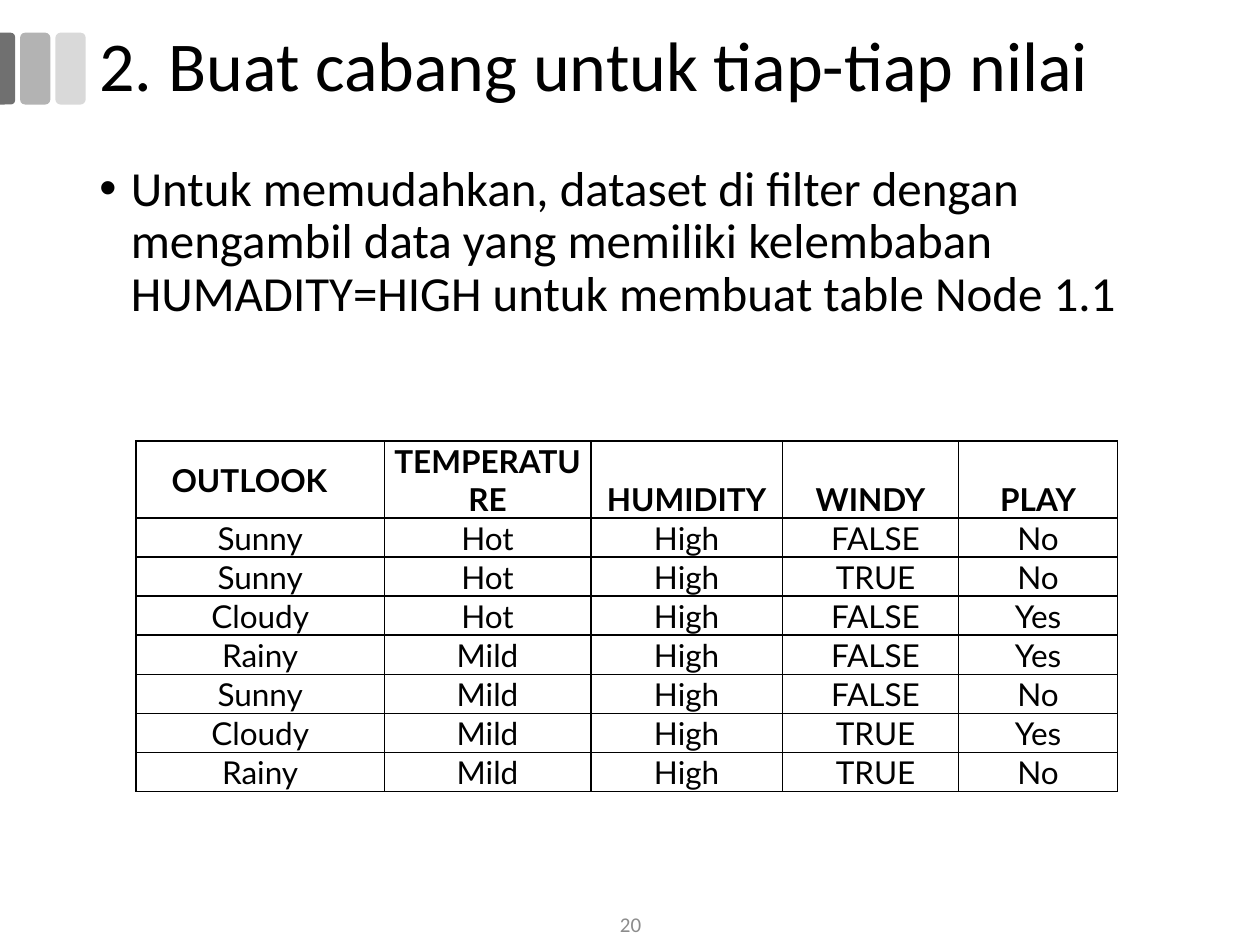
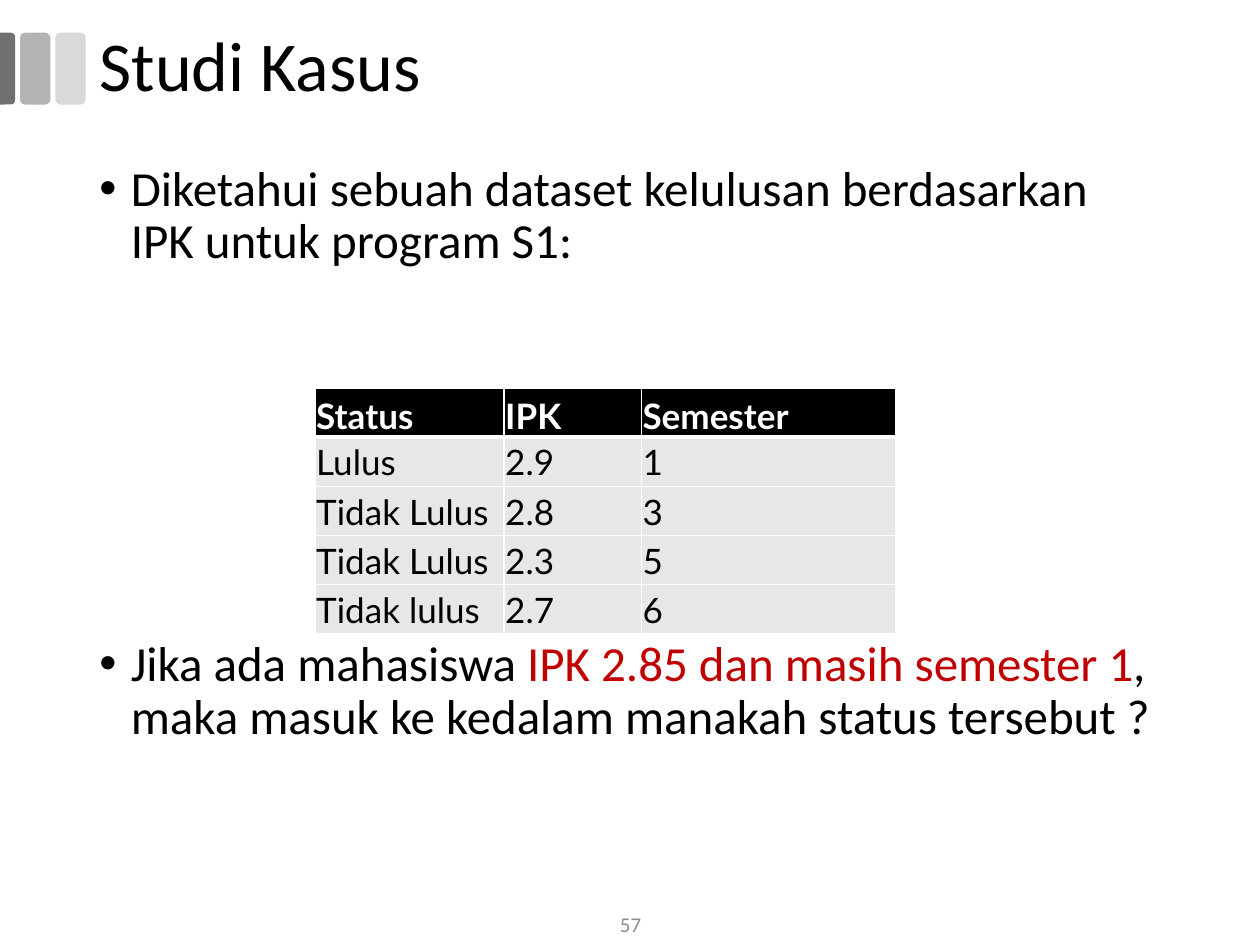
from dataclasses import dataclass

from lxml import etree
from pptx import Presentation
from pptx.dml.color import RGBColor
from pptx.enum import shapes, text
from pptx.oxml.ns import qn
from pptx.util import Inches, Pt


@dataclass(frozen=True)
class Theme:
    font: str = "Calibri"
    table_font: str = "Lato"
    title_size: int = 40
    body_size: int = 28
    number_size: int = 12
    black: str = "000000"
    white: str = "FFFFFF"
    cell_grey: str = "E7E7E7"
    number_grey: str = "8C8C8C"
    accent: str = "C00000"
    marks: tuple = ("707070", "B3B3B3", "D9D9D9")


THEME = Theme()
TITLE_ONLY = 5
TITLE_BOX = (0.69, 0.17, 9.3, 0.75)
BODY_BOX = (0.69, 1.25, 8.62, 5.83)
NUMBER_BOX = (3.88, 7.17, 2.25, 0.33)
MARKS_BOX = (-0.12, 0.26, 0.24, 0.57)
MARK_STEP = 0.28


@dataclass(frozen=True)
class TableLook:
    size: int
    row_height: float
    header_fill: str
    header_color: str
    body_fill: str
    border: str
    header_rule: float
    align: text.PP_ALIGN


GRID_LOOK = TableLook(18, 0.31, THEME.white, THEME.black, THEME.white,
                      THEME.black, 1, text.PP_ALIGN.CENTER)
BANNER_LOOK = TableLook(20, 0.39, THEME.black, THEME.white, THEME.cell_grey,
                        THEME.white, 3, text.PP_ALIGN.LEFT)


def inches(box):
    return [Inches(value) for value in box]


def rgb(color):
    return RGBColor.from_string(color)


def style_font(font, size, color, name=THEME.font, bold=False):
    font.name, font.size, font.bold = name, Pt(size), bold
    font.color.rgb = rgb(color)


def add_marks(slide, box):
    """Three rounded bars; the first is cut by the slide's left edge."""
    left, top, width, height = box
    half = width / 2
    # The cut bar is a top-rounded rectangle turned a quarter to the right.
    cut_box = (left + half * 1.5 - height / 2, top + (height - half) / 2, height, half)
    boxes = [cut_box] + [(left + MARK_STEP * i, top, width, height) for i in (1, 2)]
    kinds = [shapes.MSO_SHAPE.ROUND_2_SAME_RECTANGLE] + [shapes.MSO_SHAPE.ROUNDED_RECTANGLE] * 2
    for kind, mark_box, color in zip(kinds, boxes, THEME.marks):
        mark = slide.shapes.add_shape(kind, *inches(mark_box))
        mark.shadow.inherit = False
        mark.fill.solid()
        mark.fill.fore_color.rgb = rgb(color)
        mark.line.fill.background()
        if mark_box is cut_box:
            mark.rotation = 90
            mark.adjustments[0] = 0.29


def add_title(slide, box, wording):
    title = slide.shapes.title
    title.left, title.top, title.width, title.height = inches(box)
    frame = title.text_frame
    frame.text = wording
    frame.auto_size = text.MSO_AUTO_SIZE.NONE
    frame.vertical_anchor = text.MSO_ANCHOR.MIDDLE
    paragraph = frame.paragraphs[0]
    paragraph.alignment = text.PP_ALIGN.LEFT
    paragraph.line_spacing = 0.9
    style_font(paragraph.font, THEME.title_size, THEME.black)


def add_number(slide, box, number):
    frame = slide.shapes.add_textbox(*inches(box)).text_frame
    frame.word_wrap = True
    frame.vertical_anchor = text.MSO_ANCHOR.MIDDLE
    paragraph = frame.paragraphs[0]
    paragraph.text = str(number)
    paragraph.alignment = text.PP_ALIGN.CENTER
    style_font(paragraph.font, THEME.number_size, THEME.number_grey)


def add_bullets(slide, box, bullets, gap=10):
    """Each bullet is a list of (wording, colour) runs; gap is in points."""
    frame = slide.shapes.add_textbox(*inches(box)).text_frame
    frame.word_wrap = True
    for index, runs in enumerate(bullets):
        paragraph = frame.add_paragraph() if index else frame.paragraphs[0]
        paragraph.line_spacing = 0.9
        paragraph.space_before = Pt(gap if index else 0)
        properties = paragraph._p.get_or_add_pPr()
        properties.set("marL", str(Inches(0.25)))
        properties.set("indent", str(Inches(-0.25)))
        etree.SubElement(properties, qn("a:buFont"), typeface="Arial")
        etree.SubElement(properties, qn("a:buChar"), char="•")
        for wording, color in runs:
            run = paragraph.add_run()
            run.text = wording
            style_font(run.font, THEME.body_size, color)


def set_borders(cell, color, widths):
    """Widths in points for the left, right, top and bottom sides."""
    properties = cell._tc.get_or_add_tcPr()
    for side, width in zip("LRTB", widths):
        line = etree.SubElement(properties, qn(f"a:ln{side}"), w=str(Pt(width)))
        fill = etree.SubElement(line, qn("a:solidFill"))
        etree.SubElement(fill, qn("a:srgbClr"), val=color)


def add_data_table(slide, left, top, widths, rows, look):
    frame = slide.shapes.add_table(
        len(rows), len(widths),
        *inches((left, top, sum(widths), look.row_height * len(rows))))
    table = frame.table
    table.first_row = table.horz_banding = False
    for column, width in zip(table.columns, widths):
        column.width = Inches(width)
    for r, values in enumerate(rows):
        table.rows[r].height = Inches(look.row_height)
        header = r == 0
        top_rule = look.header_rule if r == 1 else 1
        bottom_rule = look.header_rule if header else 1
        for c, value in enumerate(values):
            cell = table.cell(r, c)
            set_borders(cell, look.border, (1, 1, top_rule, bottom_rule))
            cell.fill.solid()
            cell.fill.fore_color.rgb = rgb(look.header_fill if header else look.body_fill)
            cell.margin_left = cell.margin_right = cell.margin_top = Inches(0.01)
            cell.margin_bottom = 0
            cell.vertical_anchor = text.MSO_ANCHOR.BOTTOM if header else text.MSO_ANCHOR.MIDDLE
            paragraph = cell.text_frame.paragraphs[0]
            paragraph.text = value
            paragraph.alignment = look.align
            style_font(paragraph.font, look.size,
                       look.header_color if header else THEME.black,
                       THEME.table_font, header)
    return table


def add_content_slide(presentation, title, number, bullets, gap=10):
    slide = presentation.slides.add_slide(presentation.slide_layouts[TITLE_ONLY])
    add_marks(slide, MARKS_BOX)
    add_bullets(slide, BODY_BOX, bullets, gap)
    add_number(slide, NUMBER_BOX, number)
    add_title(slide, TITLE_BOX, title)
    return slide


def add_branch_slide(presentation):
    slide = add_content_slide(
        presentation, "2. Buat cabang untuk tiap-tiap nilai", 20,
        [[("Untuk memudahkan, dataset di filter dengan mengambil data yang memiliki "
           "kelembaban HUMADITY=HIGH untuk membuat table Node 1.1", THEME.black)]])
    weather = [
        ("OUTLOOK", "TEMPERATURE", "HUMIDITY", "WINDY", "PLAY"),
        ("Sunny", "Hot", "High", "FALSE", "No"),
        ("Sunny", "Hot", "High", "TRUE", "No"),
        ("Cloudy", "Hot", "High", "FALSE", "Yes"),
        ("Rainy", "Mild", "High", "FALSE", "Yes"),
        ("Sunny", "Mild", "High", "FALSE", "No"),
        ("Cloudy", "Mild", "High", "TRUE", "Yes"),
        ("Rainy", "Mild", "High", "TRUE", "No"),
    ]
    table = add_data_table(slide, 1.08, 3.5, (1.97, 1.64, 1.52, 1.4, 1.26), weather, GRID_LOOK)
    outlook = table.cell(0, 0)
    outlook.vertical_anchor = text.MSO_ANCHOR.MIDDLE
    outlook.margin_right = Inches(0.18)
    for r in range(1, len(weather)):
        table.cell(r, 3).margin_left = Inches(0.09)


def add_case_slide(presentation):
    slide = add_content_slide(
        presentation, "Studi Kasus", 57,
        [[("Diketahui sebuah dataset kelulusan berdasarkan IPK untuk program S1:", THEME.black)],
         [("Jika ada mahasiswa ", THEME.black),
          ("IPK 2.85 dan masih semester 1", THEME.accent),
          (", maka masuk ke kedalam manakah status tersebut ?", THEME.black)]],
        gap=211)
    graduation = [
        ("Status", "IPK", "Semester"),
        ("Lulus", "2.9", "1"),
        ("Tidak Lulus", "2.8", "3"),
        ("Tidak Lulus", "2.3", "5"),
        ("Tidak lulus", "2.7", "6"),
    ]
    add_data_table(slide, 2.5, 3.08, (1.5, 1.09, 2.02), graduation, BANNER_LOOK)


def main():
    presentation = Presentation()
    presentation.slide_width, presentation.slide_height = Inches(10), Inches(7.5)
    add_branch_slide(presentation)
    add_case_slide(presentation)
    presentation.save("out.pptx")


if __name__ == "__main__":
    main()
